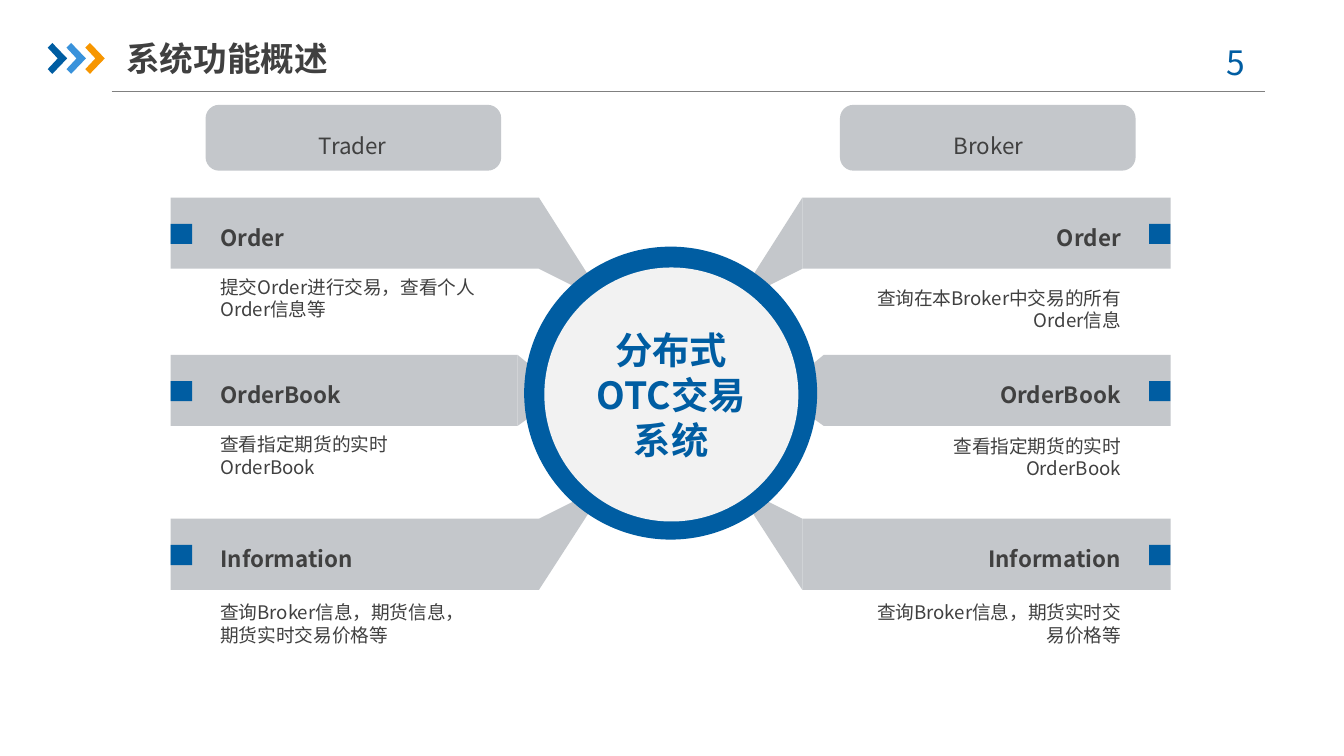
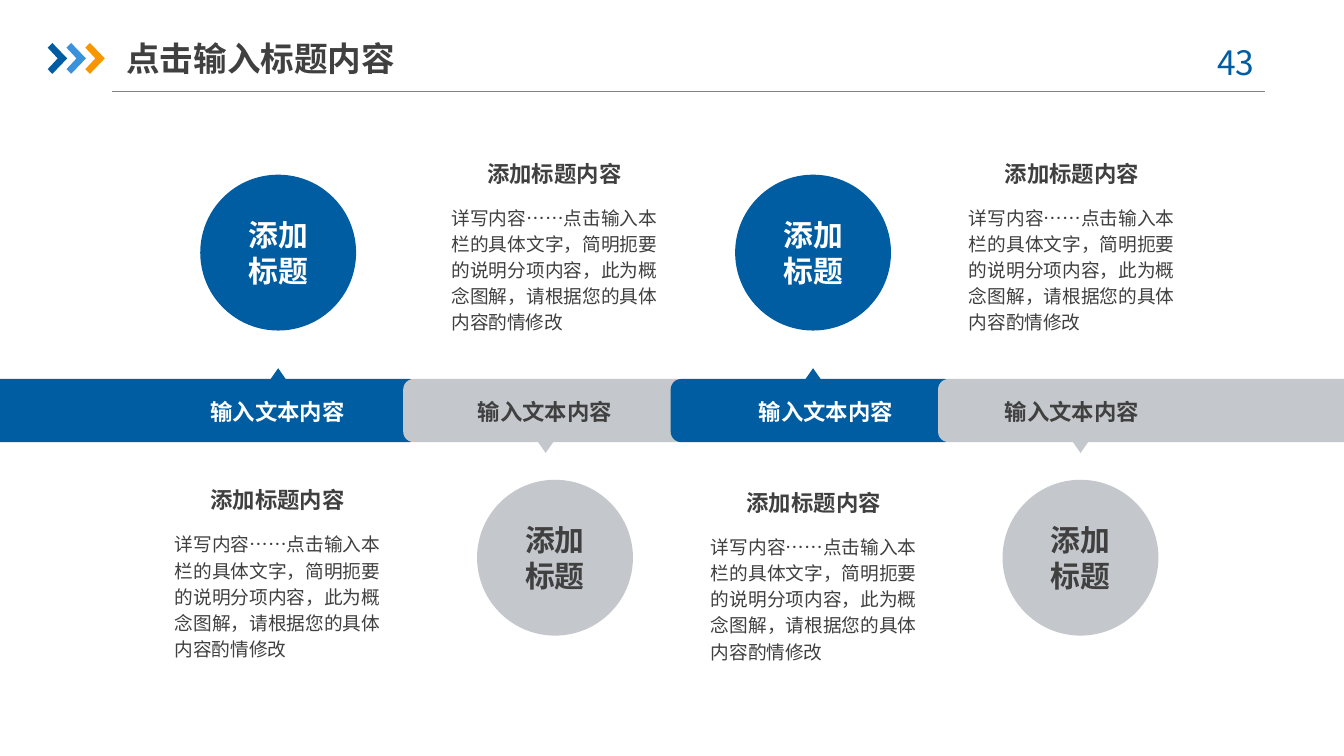
from pptx import Presentation
from pptx.dml.color import RGBColor
from pptx.enum.shapes import MSO_CONNECTOR, MSO_SHAPE
from pptx.enum.text import MSO_ANCHOR, PP_ALIGN
from pptx.oxml.ns import qn
from pptx.util import Inches, Pt
from lxml.etree import SubElement

COLORS = {
    "blue": "005DA2",
    "sky": "3992DB",
    "orange": "F79600",
    "silver": "C4C7CB",
    "pale": "F2F2F2",
    "rule": "808080",
    "text": "404040",
    "white": "FFFFFF",
}
COLS, ROWS = 100, 56.25
FONT = "Noto Sans CJK SC"
LEFT, CENTER, RIGHT, JUSTIFY = PP_ALIGN.LEFT, PP_ALIGN.CENTER, PP_ALIGN.RIGHT, PP_ALIGN.JUSTIFY
SIDE_INSET = (0, 0.5)
NO_INSET = (0, 0)
MIRROR = 99.8


class Deck:
    def __init__(self):
        self.prs = Presentation()
        self.prs.slide_width = Inches(10)
        self.prs.slide_height = Inches(5.625)
        self.s = None

    def x(self, cols):
        return round(self.prs.slide_width * cols / COLS)

    def y(self, rows):
        return round(self.prs.slide_height * rows / ROWS)

    def box(self, left, top, width, height):
        return self.x(left), self.y(top), self.x(width), self.y(height)

    def rgb(self, name):
        return RGBColor.from_string(COLORS[name])

    def paint(self, sp, color):
        sp.shadow.inherit = False
        sp.fill.solid()
        sp.fill.fore_color.rgb = self.rgb(color)
        sp.line.fill.background()
        return sp

    def label(self, sp, text, size, color="text", bold=False, align=LEFT,
              inset=(1, 0.5), anchor=MSO_ANCHOR.TOP, spacing=None):
        tf = sp.text_frame
        tf.text = text
        tf.word_wrap = True
        tf.vertical_anchor = anchor
        tf.margin_left = tf.margin_right = self.x(inset[0])
        tf.margin_top = tf.margin_bottom = self.y(inset[1])
        p = tf.paragraphs[0]
        p.alignment = align
        if spacing:
            p.line_spacing = spacing
        for r in p.runs:
            r.font.size = Pt(size)
            r.font.bold = bold
            r.font.name = FONT
            r.font.color.rgb = self.rgb(color)
            SubElement(r.font._element, qn("a:ea")).set("typeface", FONT)

    def text(self, box, text, size, **style):
        self.label(self.s.shapes.add_textbox(*self.box(*box)), text, size, **style)

    def shape(self, kind, box, color, adjust=None):
        sp = self.s.shapes.add_shape(kind, *self.box(*box))
        if adjust is not None:
            sp.adjustments[0] = adjust
        return self.paint(sp, color)

    def outline(self, points, color):
        pts = [(self.x(a), self.y(b)) for a, b in points]
        fb = self.s.shapes.build_freeform(*pts[0])
        fb.add_line_segments(pts[1:], close=True)
        self.paint(fb.convert_to_shape(), color)

    def rule(self, start, end):
        line = self.s.shapes.add_connector(
            MSO_CONNECTOR.STRAIGHT, self.x(start[0]), self.y(start[1]),
            self.x(end[0]), self.y(end[1]))
        line.line.color.rgb = self.rgb("rule")
        line.line.width = Pt(0.75)
        SubElement(line._element.spPr, qn("a:effectLst"))

    def slide(self, title, number):
        self.s = self.prs.slides.add_slide(self.prs.slide_layouts[5])
        self.rule((8.3, 6.8), (94.1, 6.8))
        for i, color in enumerate(("blue", "sky", "orange")):
            chevron = [(3.55, 3.55), (3.9, 3.2), (5, 4.35), (3.9, 5.5), (3.55, 5.15), (4.3, 4.35)]
            self.outline([(a + 1.4 * i, b) for a, b in chevron], color)
        self.text((88.6, 2.6, 7.3, 4), f"{number} ", 18, color="blue", align=CENTER)
        sp = self.s.shapes.title
        sp.left, sp.top, sp.width, sp.height = self.box(9.4, 2.2, 23.3, 4.2)
        self.label(sp, title, 18, bold=True, inset=SIDE_INSET, anchor=MSO_ANCHOR.MIDDLE)


def place(left, width, mirrored):
    return MIRROR - left - width if mirrored else left


def build_overview(deck):
    deck.slide("系统功能概述", 5)
    rows = [
        ("Order", 14.7, 40.1, [(40.1, 14.7), (44.3, 21.3), (43.7, 21.8), (40.1, 20)]),
        ("OrderBook", 26.4, 38.5, [(38.5, 26.4), (41.3, 28.7), (41.3, 29.7), (38.5, 31.7)]),
        ("Information", 38.6, 40.1, [(40.1, 43.9), (44.3, 37.4), (43.7, 36.8), (40.1, 38.6)]),
    ]
    roles = [
        ("Trader", False, LEFT, 19.4, [
            (21.5, "提交Order进行交易，查看个人Order信息等"),
            (33.2, "查看指定期货的实时OrderBook"),
            (45.7, "查询Broker信息，期货信息，期货实时交易价格等")]),
        ("Broker", True, RIGHT, 18.4, [
            (22.3, "查询在本Broker中交易的所有Order信息"),
            (33.3, "查看指定期货的实时OrderBook"),
            (45.7, "查询Broker信息，期货实时交易价格等")]),
    ]
    for role, mirrored, align, width, details in roles:
        for (name, top, end, joint), (detail_top, detail) in zip(rows, details):
            bar = end - 12.7
            deck.shape(MSO_SHAPE.RECTANGLE, (place(12.7, bar, mirrored), top, bar, 5.3), "silver")
            deck.outline([(place(a, 0, mirrored), b) for a, b in joint], "silver")
            deck.shape(MSO_SHAPE.RECTANGLE,
                       (place(12.7, 1.6, mirrored), top + 1.95, 1.6, 1.5), "blue")
            deck.text((place(16.4, 21.4, mirrored), top + 1.5, 21.4, 3.1), name, 12,
                      bold=True, align=align, inset=SIDE_INSET)
            deck.text((place(16.4, width, mirrored), detail_top, width, 1.4), detail, 10,
                      align=align, inset=SIDE_INSET, anchor=MSO_ANCHOR.MIDDLE)
        deck.shape(MSO_SHAPE.ROUNDED_RECTANGLE,
                   (place(15.3, 22, mirrored), 7.8, 22, 4.9), "silver", 0.206)
        deck.text((place(5.7, 41.1, mirrored), 9.4, 41.1, 2.2), role, 12,
                  align=CENTER, inset=NO_INSET, spacing=1.2)
    deck.shape(MSO_SHAPE.OVAL, (39, 18.35, 21.8, 21.8), "blue")
    hub = deck.shape(MSO_SHAPE.OVAL, (40.5, 19.9, 18.9, 18.9), "pale")
    deck.label(hub, "分布式OTC交易系统", 20, color="blue", bold=True,
               align=CENTER, anchor=MSO_ANCHOR.MIDDLE)


def build_steps(deck):
    deck.slide("点击输入标题内容", 43)
    detail = "详写内容……点击输入本栏的具体文字，简明扼要的说明分项内容，此为概念图解，请根据您的具体内容酌情修改"
    steps = [
        (-1.2, 32.5, 14.9, 14.1, 13, 39.4),
        (30, 21.2, 35.5, 34, 33.6, 15.1),
        (49.9, 21.2, 54.7, 54.9, 52.9, 39.6),
        (69.8, 31.4, 74.6, 73.2, 72.1, 15.1),
    ]
    for i, (left, width, circle, caption, body, body_top) in enumerate(steps):
        lower = i % 2 == 1
        fill, ink = ("silver", "text") if lower else ("blue", "white")
        deck.shape(MSO_SHAPE.ROUNDED_RECTANGLE, (left, 28.2, width, 4.7), fill, 0.167)
        pointer = deck.shape(MSO_SHAPE.ISOSCELES_TRIANGLE,
                             (20 + 19.9 * i, 32.7 if lower else 27.4, 1.4, 1), fill)
        pointer.rotation = 180 if lower else 0
        disc = deck.shape(MSO_SHAPE.OVAL, (circle, 35.7 if lower else 13, 11.6, 11.6), fill)
        deck.label(disc, "添加标题", 16, color=ink, bold=True, align=CENTER,
                   anchor=MSO_ANCHOR.MIDDLE)
        deck.text((caption, 29.6, 13.1, 2), "输入文本内容", 12, color=ink, bold=True,
                  align=CENTER, inset=NO_INSET)
        deck.text((body + 1.1, body_top - 3.2, 13.1, 2), "添加标题内容", 12, bold=True,
                  align=CENTER, inset=NO_INSET)
        deck.text((body, body_top, 15.3, 9.8), detail, 10, align=JUSTIFY,
                  inset=NO_INSET, spacing=Pt(14))


def main():
    deck = Deck()
    build_overview(deck)
    build_steps(deck)
    deck.prs.save("out.pptx")


if __name__ == "__main__":
    main()
